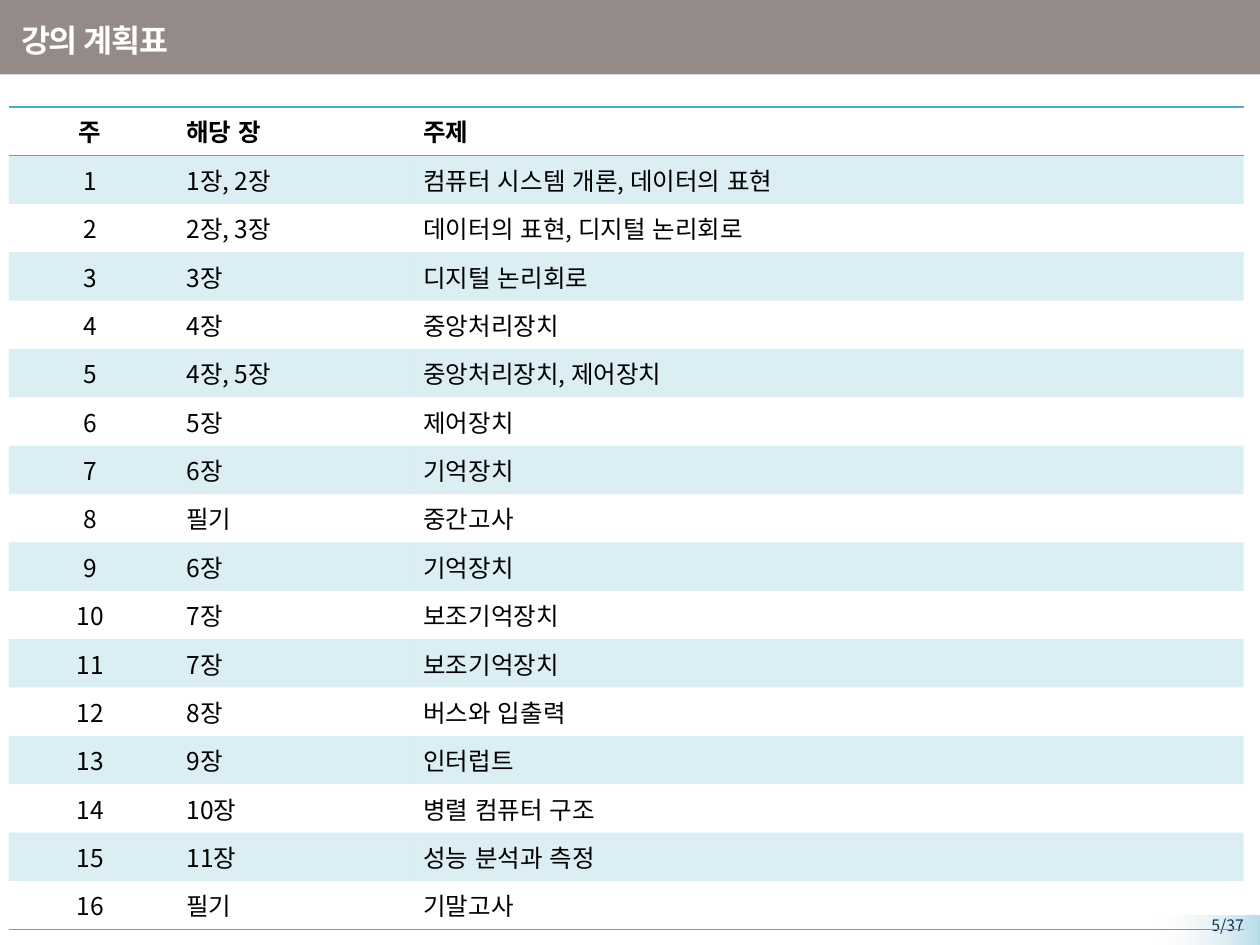
from dataclasses import dataclass

from lxml.etree import SubElement
from pptx import Presentation
from pptx.dml.color import RGBColor
from pptx.enum.shapes import MSO_SHAPE
from pptx.enum.text import MSO_ANCHOR, PP_ALIGN
from pptx.oxml import parse_xml
from pptx.oxml.ns import nsdecls, qn
from pptx.util import Inches, Pt


@dataclass(frozen=True)
class Theme:
    font: str = "Noto Sans CJK KR"
    banner: str = "948A88"
    accent: str = "4BACC6"
    corner: str = "B7DEE8"
    corner_fade: str = "F2F2F2"
    white: str = "FFFFFF"
    black: str = "000000"
    page: str = "0F2E53"
    title_size: int = 18
    table_size: int = 14
    page_size: int = 9
    band_opacity: int = 20


THEME = Theme()
PLAIN_TABLE_STYLE = "{2D5ABB26-0587-4C30-8999-92F81FD0307C}"
COLUMN_WIDTHS = (1.29, 1.88, 6.63)
TABLE_HEIGHT = 6.53
HEADER = ("주", "해당 장", "주제")
WEEKS = (
    ("1장, 2장", "컴퓨터 시스템 개론, 데이터의 표현"),
    ("2장, 3장", "데이터의 표현, 디지털 논리회로"),
    ("3장", "디지털 논리회로"),
    ("4장", "중앙처리장치"),
    ("4장, 5장", "중앙처리장치, 제어장치"),
    ("5장", "제어장치"),
    ("6장", "기억장치"),
    ("필기", "중간고사"),
    ("6장", "기억장치"),
    ("7장", "보조기억장치"),
    ("7장", "보조기억장치"),
    ("8장", "버스와 입출력"),
    ("9장", "인터럽트"),
    ("10장", "병렬 컴퓨터 구조"),
    ("11장", "성능 분석과 측정"),
    ("필기", "기말고사"),
)


def apply_format(target, values):
    for name, value in values.items():
        setattr(target, name, value)


def write_text(text_frame, text, size, color, bold=False, align=PP_ALIGN.LEFT):
    paragraph = text_frame.paragraphs[0]
    paragraph.alignment = align
    run = paragraph.add_run()
    run.text = text
    apply_format(run.font, {"name": THEME.font, "size": Pt(size), "bold": bold})
    run.font.color.rgb = RGBColor.from_string(color)
    # Korean letters take the East Asian typeface, without pair kerning
    SubElement(run.font._element, qn("a:ea"), typeface=THEME.font)
    run.font._element.set("lang", "ko-KR")
    run.font._element.set("kern", "0")
    return run


def add_text(slide, box, text, size, color, anchor=MSO_ANCHOR.TOP, **style):
    shape = slide.shapes.add_textbox(*map(Inches, box))
    apply_format(shape.text_frame, {"word_wrap": True, "vertical_anchor": anchor})
    return write_text(shape.text_frame, text, size, color, **style)


def add_bar(slide, box, color):
    shape = slide.shapes.add_shape(MSO_SHAPE.RECTANGLE, *map(Inches, box))
    shape.shadow.inherit = False
    shape.fill.solid()
    shape.fill.fore_color.rgb = RGBColor.from_string(color)
    shape.line.fill.background()
    return shape


def fade_to_left(shape, start, end):
    gradient = parse_xml(
        f'<a:gradFill {nsdecls("a")} rotWithShape="1"><a:gsLst>'
        f'<a:gs pos="0"><a:srgbClr val="{start}"/></a:gs>'
        f'<a:gs pos="100000"><a:srgbClr val="{end}"><a:alpha val="0"/></a:srgbClr></a:gs>'
        '</a:gsLst><a:lin ang="10800000" scaled="0"/></a:gradFill>'
    )
    properties = shape._element.spPr
    properties.replace(properties.find(qn("a:solidFill")), gradient)


def fill_band(cell):
    cell.fill.solid()
    cell.fill.fore_color.rgb = RGBColor.from_string(THEME.accent)
    color = cell._tc.tcPr.find(qn("a:solidFill"))[0]
    SubElement(color, qn("a:alpha"), val=str(THEME.band_opacity * 1000))


def add_borders(cell, sides):
    # Border elements come before the fill
    for index, side in enumerate(sides):
        cell._tc.tcPr.insert(index, parse_xml(
            f'<a:{side} {nsdecls("a")} w="{Pt(1)}"><a:solidFill>'
            f'<a:srgbClr val="{THEME.accent}"/></a:solidFill></a:{side}>'
        ))


def add_schedule(slide, left, top):
    rows = [HEADER] + [(str(week), *entry) for week, entry in enumerate(WEEKS, 1)]
    last = len(rows) - 1
    row_height = Inches(TABLE_HEIGHT / len(rows))
    frame = slide.shapes.add_table(
        len(rows), len(HEADER), Inches(left), Inches(top),
        Inches(sum(COLUMN_WIDTHS)), Inches(TABLE_HEIGHT),
    )
    table = frame.table
    table._tbl.tblPr.find(qn("a:tableStyleId")).text = PLAIN_TABLE_STYLE
    apply_format(table, {"first_row": False, "horz_banding": False})
    for column, width in zip(table.columns, COLUMN_WIDTHS):
        column.width = Inches(width)

    margins = {"margin_left": Inches(0.12), "margin_right": Inches(0.12),
               "margin_top": Inches(0.05), "margin_bottom": Inches(0.05)}
    borders = {0: ("lnT", "lnB"), last: ("lnB",)}
    for row_index, texts in enumerate(rows):
        table.rows[row_index].height = row_height
        for column_index, text in enumerate(texts):
            cell = table.cell(row_index, column_index)
            apply_format(cell, margins)
            align = PP_ALIGN.LEFT if column_index else PP_ALIGN.CENTER
            write_text(cell.text_frame, text, THEME.table_size, THEME.black,
                       bold=row_index == 0, align=align)
            if row_index % 2:
                fill_band(cell)
            else:
                cell.fill.background()
            add_borders(cell, borders.get(row_index, ()))


def main():
    presentation = Presentation()
    apply_format(presentation, {"slide_width": Inches(10), "slide_height": Inches(7.5)})
    slide = presentation.slides.add_slide(presentation.slide_layouts[6])

    # Banner and page corner
    add_bar(slide, (0, -0.02, 10, 0.61), THEME.banner)
    corner = add_bar(slide, (9.2, 7.27, 0.8, 0.24), THEME.corner)
    fade_to_left(corner, THEME.corner, THEME.corner_fade)
    add_text(slide, (9.05, 7.22, 0.92, 0.23), "5/37", THEME.page_size, THEME.page,
             align=PP_ALIGN.RIGHT)

    # Title
    title = add_text(slide, (0.07, 0.06, 8.51, 0.52), "강의 계획표", THEME.title_size,
                     THEME.white, anchor=MSO_ANCHOR.MIDDLE, bold=True)
    title.font._element.set("spc", "-80")

    # Weekly schedule
    add_schedule(slide, 0.07, 0.85)

    presentation.save("out.pptx")


if __name__ == "__main__":
    main()
